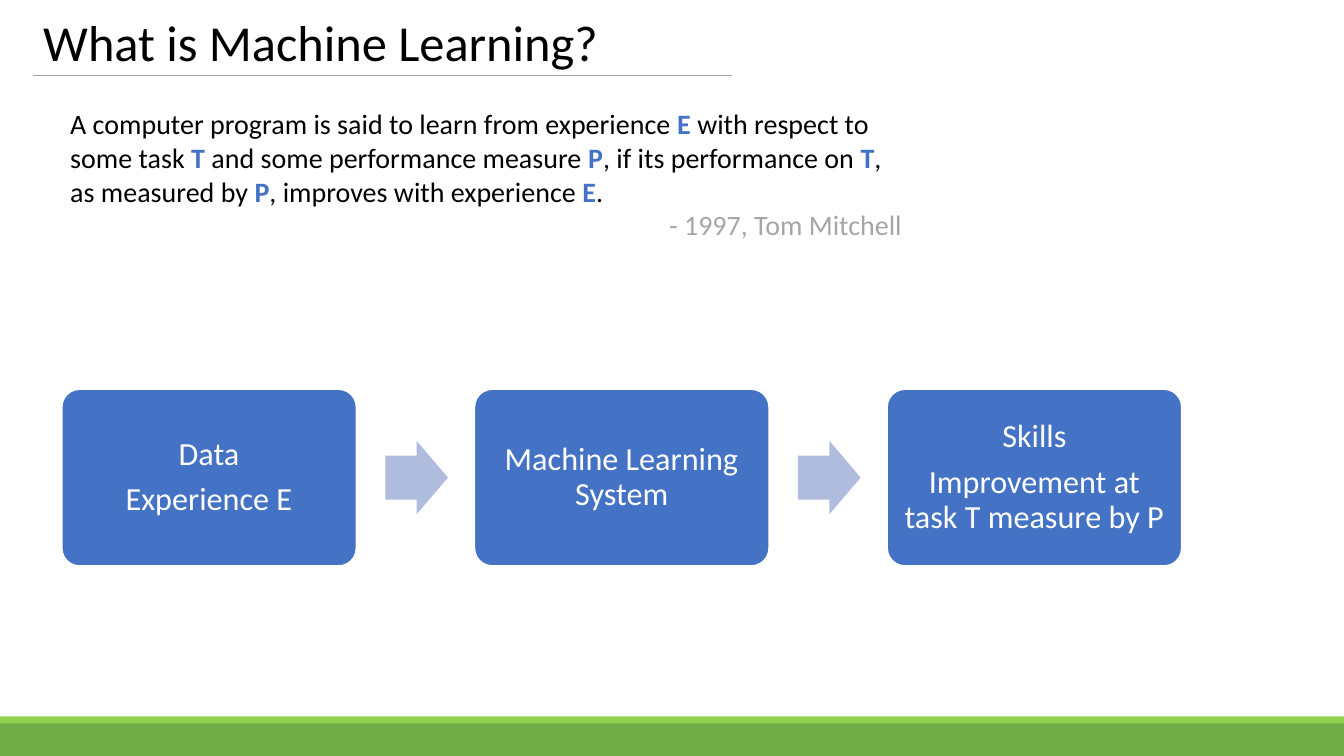
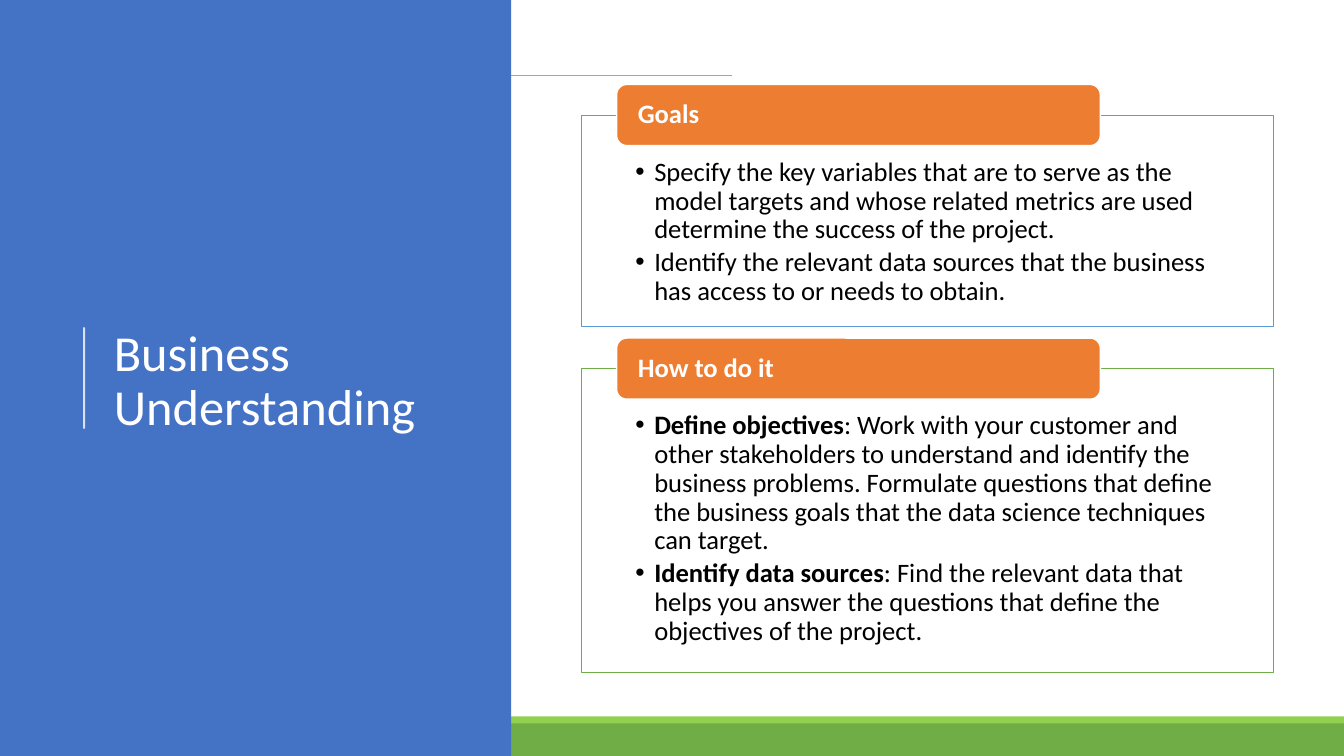
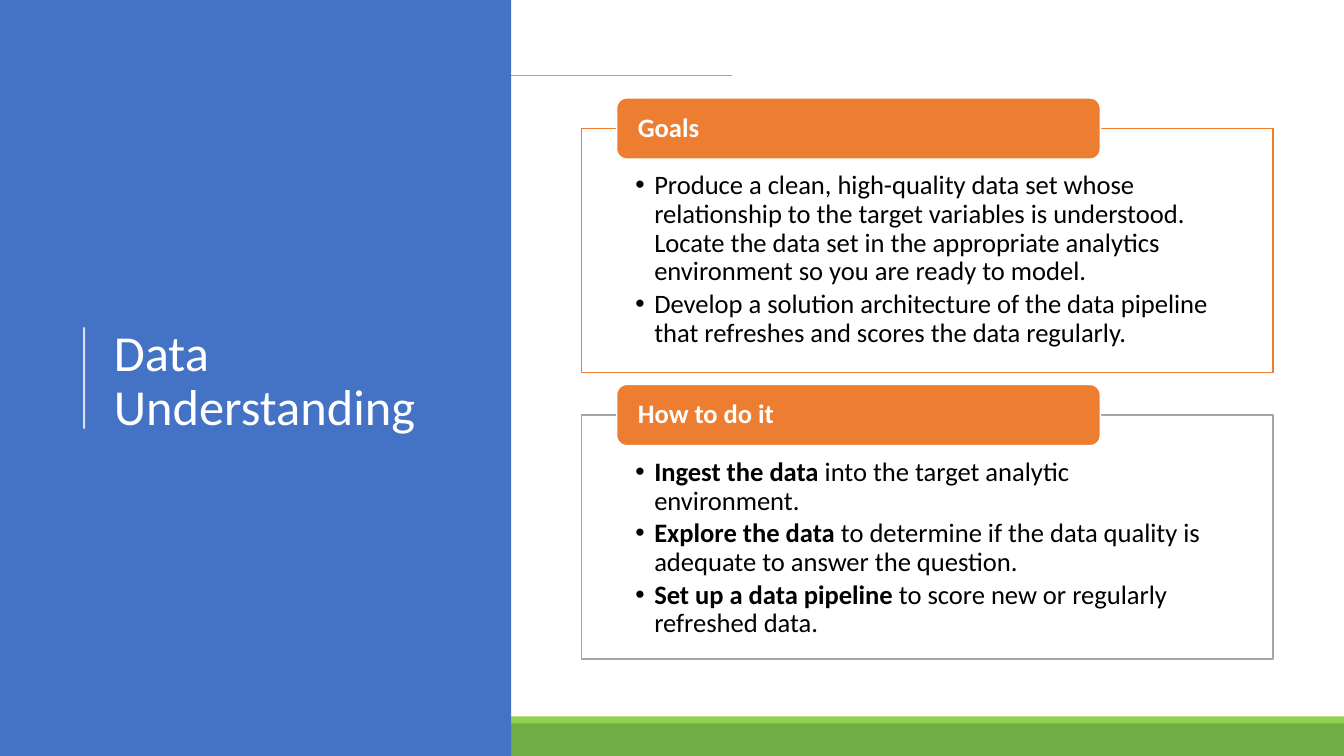
from lxml.etree import SubElement
from pptx import Presentation
from pptx.dml.color import RGBColor
from pptx.enum.shapes import MSO_CONNECTOR, MSO_SHAPE as SHAPE
from pptx.enum.text import MSO_ANCHOR as ANCHOR, PP_ALIGN as ALIGN
from pptx.oxml.ns import qn
from pptx.util import Cm, Pt

FONT = "Calibri"
BLACK, WHITE, BLUE = "000000", "FFFFFF", "4472C4"
ORANGE, GREEN, GRAY = "ED7D31", "70AD47", "A5A5A5"
LINE = MSO_CONNECTOR.STRAIGHT
rgb = RGBColor.from_string

MIDDLE = {"vertical_anchor": ANCHOR.MIDDLE}
TITLE = {"size": 36, "frame": MIDDLE, "para": {"line_spacing": 0.9}}
BLOCK = {
    "size": 23, "color": WHITE,
    "frame": MIDDLE | dict.fromkeys(
        ("margin_left", "margin_right", "margin_top", "margin_bottom"), Cm(0.25)),
    "para": {"alignment": ALIGN.CENTER, "line_spacing": 0.9, "space_after": Pt(8)},
}
TAB = {
    "size": 19, "color": WHITE,
    "frame": MIDDLE | {"margin_left": Cm(0.46), "margin_right": Cm(0.46),
                       "margin_top": 0, "margin_bottom": 0},
    "para": {"line_spacing": 0.9, "space_after": Pt(6.65)},
}
DETAIL = {
    "size": 19, "bullet": True,
    "frame": {"vertical_anchor": ANCHOR.TOP,
              "margin_left": Cm(1.35), "margin_right": Cm(1.35),
              "margin_top": Cm(1.09), "margin_bottom": Cm(0.38)},
    "para": {"line_spacing": 0.9, "space_after": Pt(2.85)},
}


def add(s, kind, at, fill=None, line=None, width=1):
    """Add a shape, a text box (kind None) or a line, whose place is x1, y1, x2, y2."""
    place = [Cm(v) for v in at]
    if kind is None:
        return s.shapes.add_textbox(*place)
    if kind is LINE:
        sp = s.shapes.add_connector(kind, *place)
    else:
        sp = s.shapes.add_shape(kind, *place)
        sp.shadow.inherit = False
        sp.fill.solid()
        sp.fill.fore_color.rgb = rgb(fill)
    if line:
        sp.line.color.rgb = rgb(line)
        sp.line.width = Pt(width)
    else:
        sp.line.fill.background()
    if kind is LINE:
        SubElement(sp._element.spPr, qn("a:effectLst"))
    return sp


def write(sp, texts, size, color=BLACK, strong=None, frame={}, para={}, bullet=False):
    """Fill a shape with paragraphs; words between asterisks are bold."""
    tf = sp.text_frame
    tf.word_wrap = True
    for name, value in frame.items():
        setattr(tf, name, value)
    for i, text in enumerate(texts):
        p = tf.add_paragraph() if i else tf.paragraphs[0]
        for name, value in ({"alignment": ALIGN.LEFT} | para).items():
            setattr(p, name, value)
        if bullet:
            pPr = p._p.get_or_add_pPr()
            pPr.set("marL", str(Cm(0.48)))
            pPr.set("indent", str(-Cm(0.48)))
            SubElement(pPr, qn("a:buFont"), typeface="Arial")
            SubElement(pPr, qn("a:buChar"), char="•")
        for n, part in enumerate(text.split("*")):
            if part:
                r = p.add_run()
                r.text = part
                bold = n % 2 == 1
                values = {"name": FONT, "size": Pt(size), "bold": bold}
                for name, value in values.items():
                    setattr(r.font, name, value)
                r.font.color.rgb = rgb(strong if bold and strong else color)
    return tf


prs = Presentation()
prs.slide_width, prs.slide_height = Cm(33.87), Cm(19.05)

# Shared footer bands and title rule
slides = []
for _ in range(3):
    s = prs.slides.add_slide(prs.slide_layouts[6])
    add(s, SHAPE.RECTANGLE, (0, 18.2, 33.87, 0.85), GREEN)
    add(s, SHAPE.RECTANGLE, (0, 18.05, 33.87, 0.18), "92D050")
    add(s, LINE, (0.84, 1.89, 18.44, 1.89), line=GRAY, width=0.5)
    slides.append(s)

# Definition and process
s = slides[0]
write(add(s, None, (0.84, 0.38, 32.36, 1.52)), ["What is Machine Learning?"], **TITLE)
tf = write(
    add(s, None, (1.52, 2.57, 21.46, 5.38)),
    ["A computer program is said to learn from experience *E *with respect to "
     "some task *T* and some performance measure *P*, if its performance on *T*, "
     "as measured by *P*, improves with experience *E*.",
     "- 1997, Tom Mitchell"],
    size=20, strong=BLUE)
author = tf.paragraphs[1]
author.alignment = ALIGN.RIGHT
author.runs[0].font.color.rgb = rgb("A6A6A6")

steps = [
    ["Data", "Experience E"],
    ["Machine Learning System"],
    ["Skills", "Improvement at task T measure by P"],
]
for i, texts in enumerate(steps):
    x = 1.56 + 10.4 * i
    block = add(s, SHAPE.ROUNDED_RECTANGLE, (x, 9.81, 7.42, 4.45), BLUE, WHITE)
    block.adjustments[0] = 0.1
    write(block, texts, **BLOCK)
    if i < len(steps) - 1:
        arrow = add(s, SHAPE.RIGHT_ARROW, (x + 8.15, 11.11, 1.58, 1.85), "B0BCDE")
        arrow.adjustments[0] = 0.6

# Project phases: title, top of first panel, line width, panels
phases = [
    ("Business Understanding", 2.9, 0.5, [
        ("Goals", 5.32, "5B9BD5", [
            "Specify the key variables that are to serve as the model targets and "
            "whose related metrics are used determine the success of the project.",
            "Identify the relevant data sources that the business has access to or "
            "needs to obtain."]),
        ("How to do it", 7.65, GREEN, [
            "*Define objectives*: Work with your customer and other stakeholders to "
            "understand and identify the business problems. Formulate questions that "
            "define the business goals that the data science techniques can target.",
            "*Identify data sources*: Find the relevant data that helps you answer "
            "the questions that define the objectives of the project."]),
    ]),
    ("Data Understanding", 3.24, 1, [
        ("Goals", 6.15, ORANGE, [
            "Produce a clean, high-quality data set whose relationship to the target "
            "variables is understood. Locate the data set in the appropriate "
            "analytics environment so you are ready to model.",
            "Develop a solution architecture of the data pipeline that refreshes and "
            "scores the data regularly."]),
        ("How to do it", 6.15, GRAY, [
            "*Ingest the data* into the target analytic environment.",
            "*Explore the data* to determine if the data quality is adequate to "
            "answer the question.",
            "*Set up a data pipeline* to score new or regularly refreshed data."]),
    ]),
]
for s, (title, top, width, panels) in zip(slides[1:], phases):
    add(s, SHAPE.RECTANGLE, (0, 0, 12.88, 19.05), BLUE)
    mark = add(s, LINE, (2.12, 10.8, 2.12, 8.25), line=WHITE, width=1.5)
    white = mark._element.spPr.find(".//" + qn("a:srgbClr"))
    SubElement(white, qn("a:alpha"), val="80000")
    write(add(s, None, (2.62, 1.98, 9.37, 15.29)), [title], color=WHITE, **TITLE)
    for heading, height, color, texts in panels:
        panel = add(s, SHAPE.RECTANGLE, (14.66, top, 17.42, height), WHITE, color, width)
        write(panel, texts, **DETAIL)
        tab = add(s, SHAPE.ROUNDED_RECTANGLE, (15.54, top - 0.77, 12.19, 1.54),
                  ORANGE, WHITE)
        write(tab, [f"*{heading}*"], **TAB)
        top += height + 1.07

prs.save("out.pptx")
